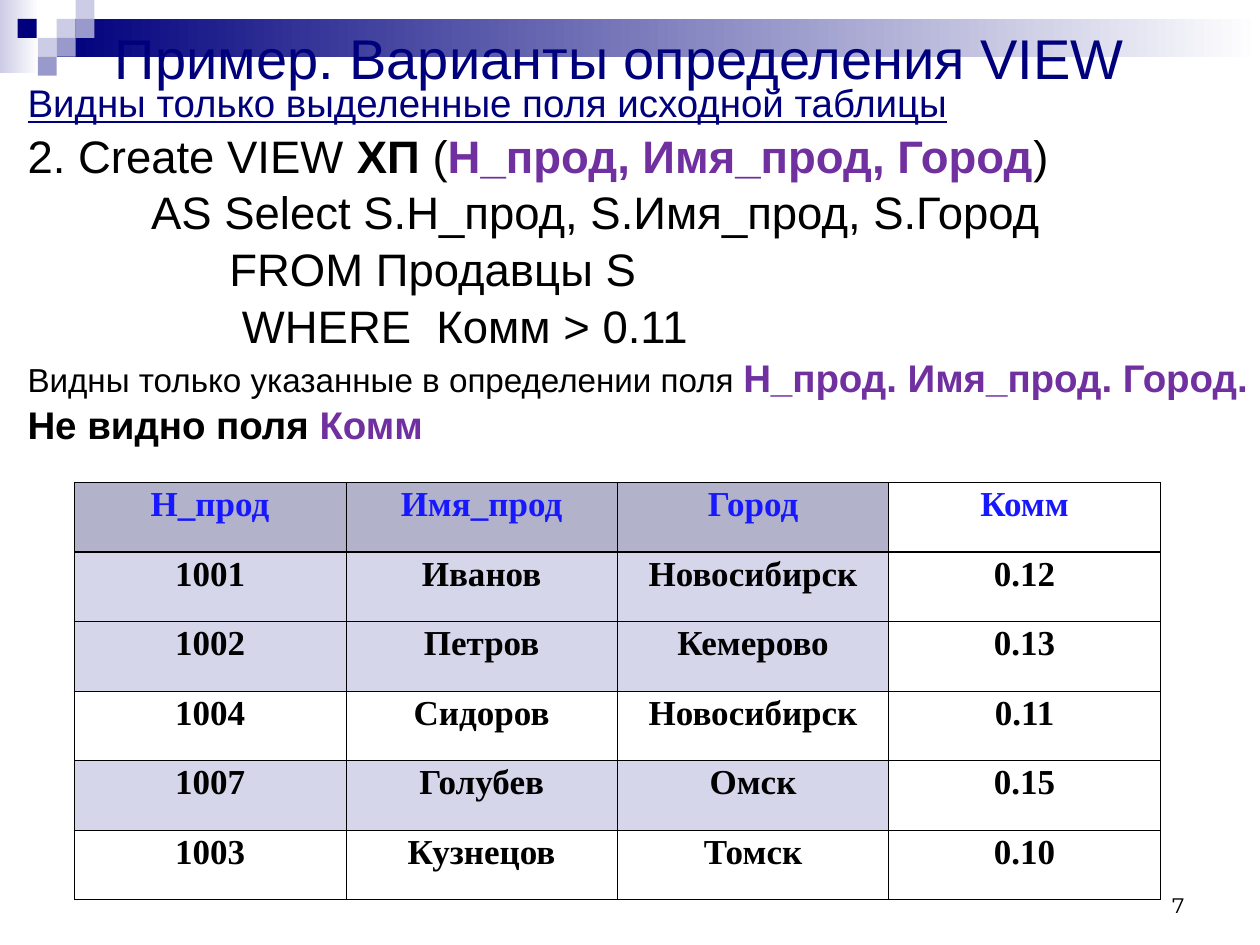
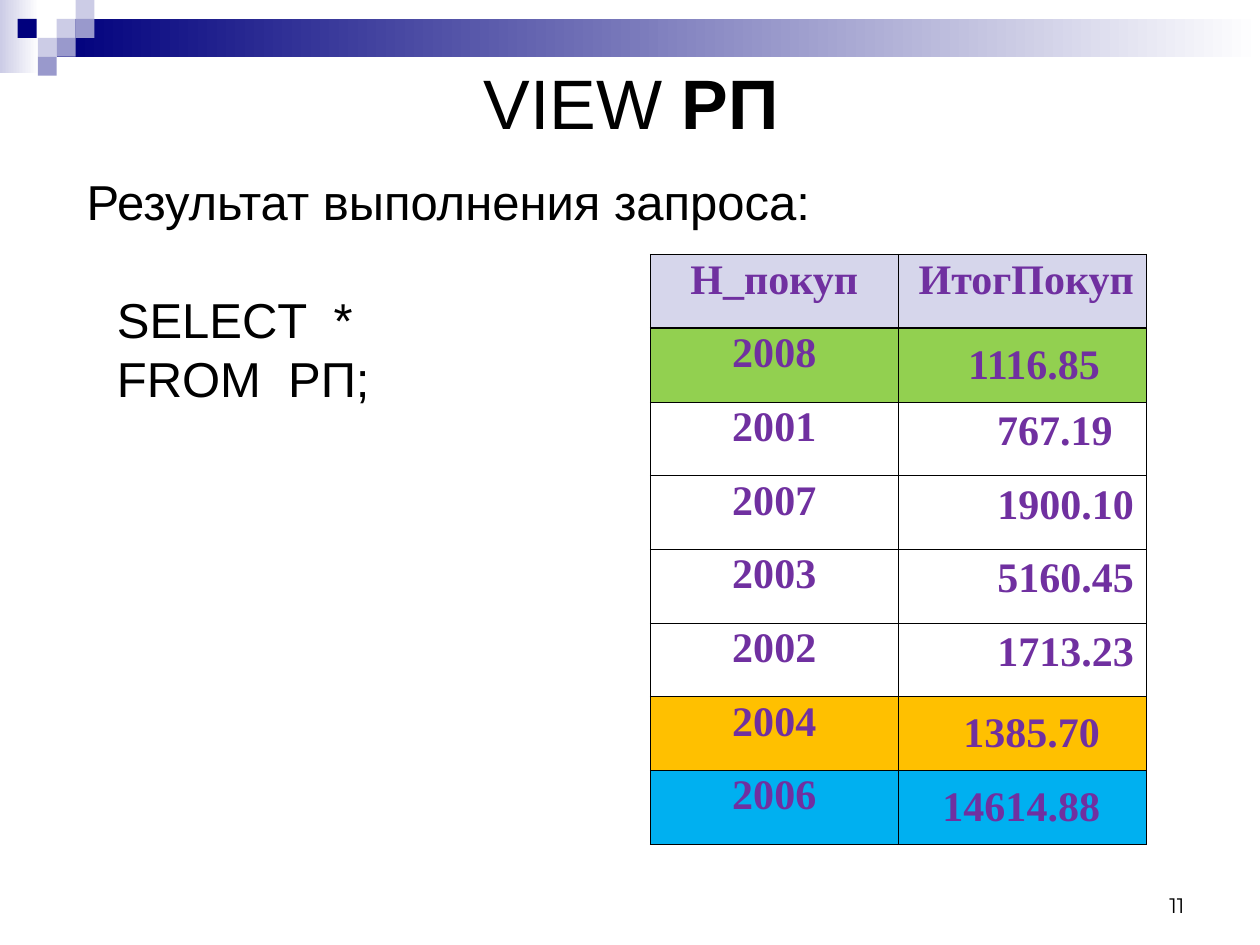
from dataclasses import dataclass, field
from typing import Optional

from lxml.etree import SubElement
from pptx import Presentation
from pptx.dml.color import RGBColor
from pptx.enum.shapes import MSO_SHAPE
from pptx.enum.text import MSO_ANCHOR, PP_ALIGN
from pptx.oxml.ns import qn
from pptx.util import Inches, Pt


@dataclass(frozen=True)
class Theme:
    """Colours, fonts and type sizes of the presentation."""
    navy: str = "00007D"
    lilac: str = "9999CC"
    pale: str = "CCCCE6"
    white: str = "FFFFFF"
    black: str = "000000"
    purple: str = "7030A0"
    header_blue: str = "1818FF"
    header_fill: str = "666699"
    row_fill: str = "D6D6EB"
    green: str = "92D050"
    amber: str = "FFC000"
    sky: str = "00B0F0"
    body_font: str = "Arial"
    table_font: str = "Times New Roman"
    number_font: str = "Montserrat"
    title: int = 32
    large_title: int = 40
    query: int = 28
    code: int = 26
    emphasis: int = 22
    note: int = 19
    number: int = 12


THEME = Theme()


@dataclass(frozen=True)
class Box:
    """Place of an object in inches."""
    left: float
    top: float
    width: float
    height: float

    def lengths(self) -> list:
        """Return the four values as lengths."""
        return [Inches(value) for value in (self.left, self.top, self.width, self.height)]


@dataclass(frozen=True)
class Band:
    """Decorative rectangle, fading to white if asked."""
    box: Box
    color: str
    fades: bool = False


@dataclass(frozen=True)
class Run:
    """Piece of text with its format."""
    text: str
    size: float
    color: str = THEME.black
    bold: bool = False
    underline: bool = False
    font: str = THEME.body_font


@dataclass(frozen=True)
class Line:
    """Paragraph made of runs."""
    runs: list
    space_before: float = 0


@dataclass(frozen=True)
class Cell:
    """Table cell with its format."""
    text: str
    color: str = THEME.black
    fill: Optional[str] = None
    alpha: int = 100
    align: PP_ALIGN = PP_ALIGN.CENTER
    anchor: MSO_ANCHOR = MSO_ANCHOR.TOP
    right_inset: float = 0.1
    spacing: float = 0.9


@dataclass(frozen=True)
class Grid:
    """Table with equal columns and rows."""
    box: Box
    size: int
    rows: list = field(default_factory=list)


SQUARE = 0.15
BANDS = [
    Band(Box(0, 0, 0.31, 0.58), THEME.pale, True),
    Band(Box(0.45, 0.15, 9.55, 0.3), THEME.navy, True),
] + [
    Band(Box(left, top, SQUARE, SQUARE), color)
    for left, top, color in (
        (0.45, 0.15, THEME.pale), (0.6, 0, THEME.pale), (0.6, 0.15, THEME.lilac),
        (0.3, 0.3, THEME.pale), (0.14, 0.15, THEME.navy), (0.45, 0.3, THEME.lilac),
        (0.3, 0.45, THEME.lilac))
]
NUMBER_BOX = Box(7.17, 6.83, 2.33, 0.5)


def add_band(slide, band: Band) -> None:
    """Draw one decorative rectangle."""
    shape = slide.shapes.add_shape(MSO_SHAPE.RECTANGLE, *band.box.lengths())
    shape.shadow.inherit = False
    shape.line.fill.background()
    if band.fades:
        shape.fill.gradient()
        shape.fill.gradient_angle = 0
        for stop, color in zip(shape.fill.gradient_stops, (band.color, THEME.white)):
            stop.color.rgb = RGBColor.from_string(color)
    else:
        shape.fill.solid()
        shape.fill.fore_color.rgb = RGBColor.from_string(band.color)


def write_run(paragraph, text: str, *, size: float, color: str = THEME.black,
              bold: bool = False, underline: bool = False,
              font: str = THEME.body_font) -> None:
    """Append formatted text to a paragraph."""
    run = paragraph.add_run()
    run.text = text
    run.font.name = font
    run.font.size = Pt(size)
    run.font.bold = bold
    run.font.underline = underline
    run.font.color.rgb = RGBColor.from_string(color)


def add_text(slide, box: Box, lines: list, *, align: PP_ALIGN = PP_ALIGN.LEFT,
             anchor: MSO_ANCHOR = MSO_ANCHOR.TOP, spacing: float = 1.0,
             right_inset: float = 0.1) -> None:
    """Add a text box holding the given lines."""
    frame = slide.shapes.add_textbox(*box.lengths()).text_frame
    frame.word_wrap = True
    frame.vertical_anchor = anchor
    frame.margin_right = Inches(right_inset)
    for index, line in enumerate(lines):
        paragraph = frame.add_paragraph() if index else frame.paragraphs[0]
        paragraph.alignment = align
        paragraph.line_spacing = spacing
        paragraph.space_before = Pt(line.space_before)
        for run in line.runs:
            write_run(paragraph, run.text, size=run.size, color=run.color, bold=run.bold,
                      underline=run.underline, font=run.font)


def set_borders(table_cell, is_header: bool) -> None:
    """Outline a cell, with heavier lines above and below the header."""
    properties = table_cell._tc.get_or_add_tcPr()
    for position, side in enumerate(("lnL", "lnR", "lnT", "lnB")):
        width = 0.96 if is_header and side in ("lnT", "lnB") else 0.45
        border = properties.makeelement(qn(f"a:{side}"), {"w": str(Pt(width))})
        properties.insert(position, border)
        solid = SubElement(border, qn("a:solidFill"))
        SubElement(solid, qn("a:srgbClr"), val=THEME.black)


def fill_cell(table_cell, cell: Cell) -> None:
    """Colour the background of a cell."""
    if cell.fill is None:
        table_cell.fill.background()
        return
    table_cell.fill.solid()
    table_cell.fill.fore_color.rgb = RGBColor.from_string(cell.fill)
    if cell.alpha < 100:
        color = table_cell._tc.tcPr.find(f".//{qn('a:srgbClr')}")
        SubElement(color, qn("a:alpha"), val=str(cell.alpha * 1000))


def add_grid(slide, grid: Grid) -> None:
    """Add a table and fill its cells."""
    column_count, row_count = len(grid.rows[0]), len(grid.rows)
    table = slide.shapes.add_table(row_count, column_count, *grid.box.lengths()).table
    table.first_row = table.horz_banding = False
    for column in table.columns:
        column.width = Inches(grid.box.width / column_count)
    for row in table.rows:
        row.height = Inches(grid.box.height / row_count)
    for row_index, cells in enumerate(grid.rows):
        for column_index, cell in enumerate(cells):
            table_cell = table.cell(row_index, column_index)
            table_cell.vertical_anchor = cell.anchor
            table_cell.margin_right = Inches(cell.right_inset)
            paragraph = table_cell.text_frame.paragraphs[0]
            paragraph.alignment = cell.align
            paragraph.line_spacing = cell.spacing
            write_run(paragraph, cell.text, size=grid.size, color=cell.color, bold=True,
                      font=THEME.table_font)
            fill_cell(table_cell, cell)
            set_borders(table_cell, row_index == 0)


def add_base_slide(presentation, title_box: Box, title: list, number: str):
    """Add a slide with bands, title and slide number."""
    slide = presentation.slides.add_slide(presentation.slide_layouts[6])
    for band in BANDS:
        add_band(slide, band)
    add_text(slide, title_box, [Line(title)], align=PP_ALIGN.CENTER, anchor=MSO_ANCHOR.MIDDLE)
    add_text(slide, NUMBER_BOX, [Line([Run(number, THEME.number, font=THEME.number_font)])],
             align=PP_ALIGN.RIGHT, anchor=MSO_ANCHOR.BOTTOM)
    return slide


def seller_rows() -> list:
    """Return the sellers table, shading the fields visible in the view."""
    names = ("Н_прод", "Имя_прод", "Город", "Комм")
    sellers = (
        ("1001", "Иванов", "Новосибирск", "0.12"),
        ("1002", "Петров", "Кемерово", "0.13"),
        ("1004", "Сидоров", "Новосибирск", "0.11"),
        ("1007", "Голубев", "Омск", "0.15"),
        ("1003", "Кузнецов", "Томск", "0.10"),
    )
    rows = [[Cell(name, THEME.header_blue, None if name == "Комм" else THEME.header_fill, 50)
             for name in names]]
    for *visible, commission in sellers:
        selected = float(commission) > 0.11
        fill = THEME.row_fill if selected else THEME.white
        rows.append([Cell(text, fill=fill) for text in visible]
                    + [Cell(commission, fill=None if selected else THEME.white)])
    return rows


def total_rows() -> list:
    """Return the buyers table with totals."""
    totals = (
        ("2008", "1116.85", THEME.green), ("2001", "767.19", None), ("2007", "1900.10", None),
        ("2003", "5160.45", None), ("2002", "1713.23", None), ("2004", "1385.70", THEME.amber),
        ("2006", "14614.88", THEME.sky),
    )
    rows = [[Cell("Н_покуп", THEME.purple, THEME.row_fill),
             Cell("ИтогПокуп", THEME.purple, THEME.row_fill, align=PP_ALIGN.RIGHT)]]
    for buyer, total, fill in totals:
        inset = 0.37 if fill else 0.27 if buyer == "2001" else 0.1
        anchor = MSO_ANCHOR.MIDDLE if fill else MSO_ANCHOR.TOP
        rows.append([Cell(buyer, THEME.purple, fill),
                     Cell(total, THEME.purple, fill, align=PP_ALIGN.RIGHT, anchor=anchor,
                          right_inset=inset, spacing=1.0)])
    return rows


def add_view_definition(presentation) -> None:
    """Build the slide that defines the view."""
    slide = add_base_slide(
        presentation, Box(0.42, 0.09, 9, 0.73),
        [Run("Пример. Варианты определения VIEW", THEME.title, THEME.navy)], "7")
    code, emphasis = THEME.code, THEME.emphasis
    lines = [
        Line([Run("Видны только выделенные поля исходной таблицы", emphasis, THEME.navy,
                  underline=True)]),
        Line([Run("2. Create VIEW ", code), Run("ХП ", code, bold=True), Run("(", code),
              Run("Н_прод, Имя_прод, Город", code, THEME.purple, True), Run(")", code)], 7.5),
        Line([Run("          AS Select S.Н_прод, S.Имя_прод, S.Город", code)], 7.5),
        Line([Run("                FROM Продавцы S", code)], 7.5),
        Line([Run("                 WHERE  Комм > 0.11", code)], 7.5),
        Line([Run("Видны только указанные в определении поля ", THEME.note),
              Run("Н_прод. Имя_прод. Город.", emphasis, THEME.purple, True)], 6),
        Line([Run("Не видно поля ", emphasis, bold=True),
              Run("Комм", emphasis, THEME.purple, True)], 6),
    ]
    add_text(slide, Box(0.12, 0.65, 9.88, 3.1), lines, spacing=0.8, right_inset=0)
    add_grid(slide, Grid(Box(0.59, 3.83, 8.62, 3.31), 20, seller_rows()))


def add_view_result(presentation) -> None:
    """Build the slide that shows the query result."""
    slide = add_base_slide(
        presentation, Box(0.51, 0.4, 9, 0.81),
        [Run("VIEW ", THEME.large_title), Run("РП", THEME.large_title, bold=True)], "11")
    add_grid(slide, Grid(Box(5.16, 2.02, 3.94, 4.68), 24, total_rows()))
    add_text(slide, Box(0.59, 1.31, 9.06, 0.57),
             [Line([Run("Результат выполнения запроса:", THEME.query)])])
    add_text(slide, Box(0.83, 2.25, 3.31, 1.04),
             [Line([Run(text, THEME.query)]) for text in ("SELECT  *", "FROM  РП;")])


def main() -> None:
    """Build and save the presentation."""
    presentation = Presentation()
    presentation.slide_width = Inches(10)
    presentation.slide_height = Inches(7.5)
    add_view_definition(presentation)
    add_view_result(presentation)
    presentation.save("out.pptx")


if __name__ == "__main__":
    main()
